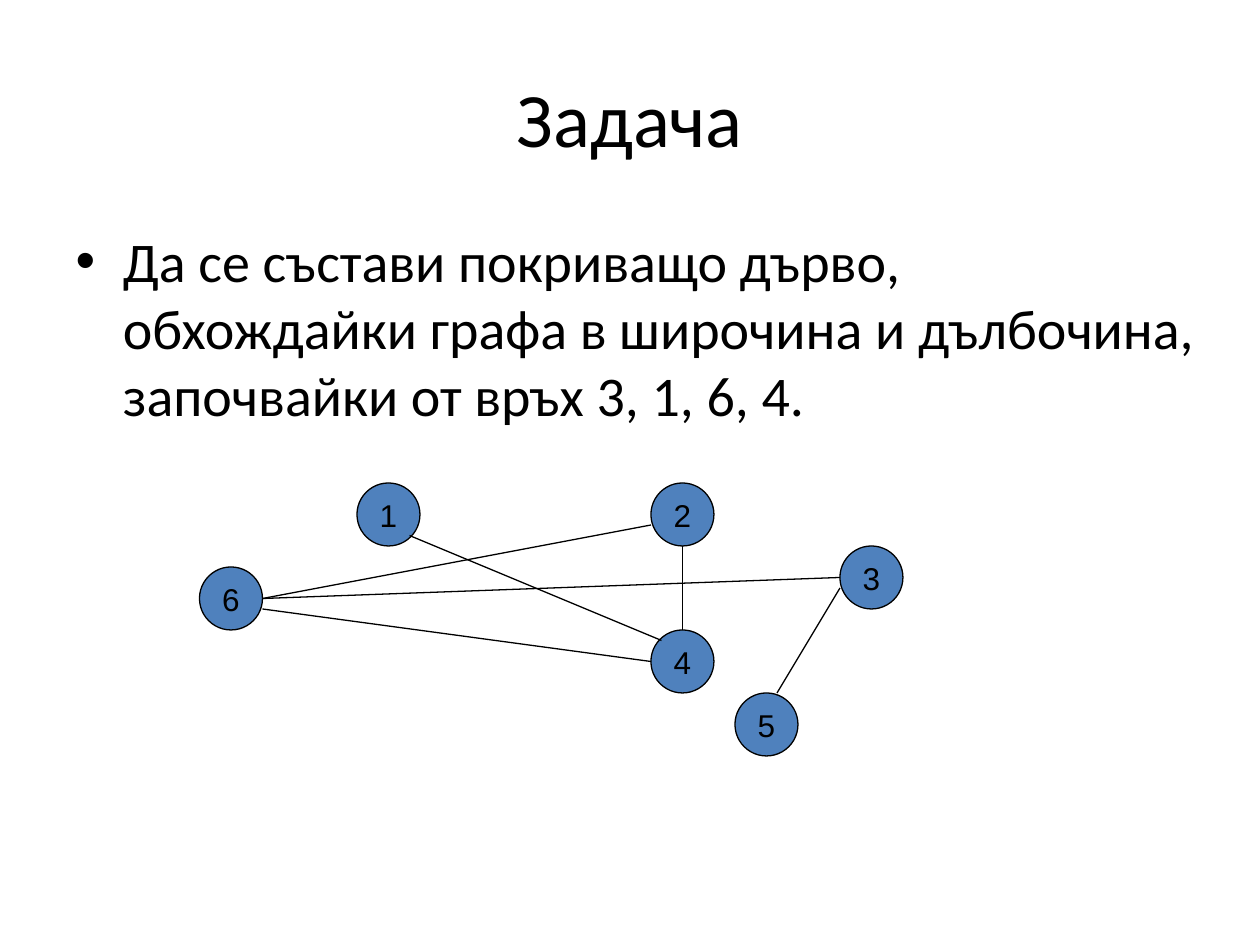
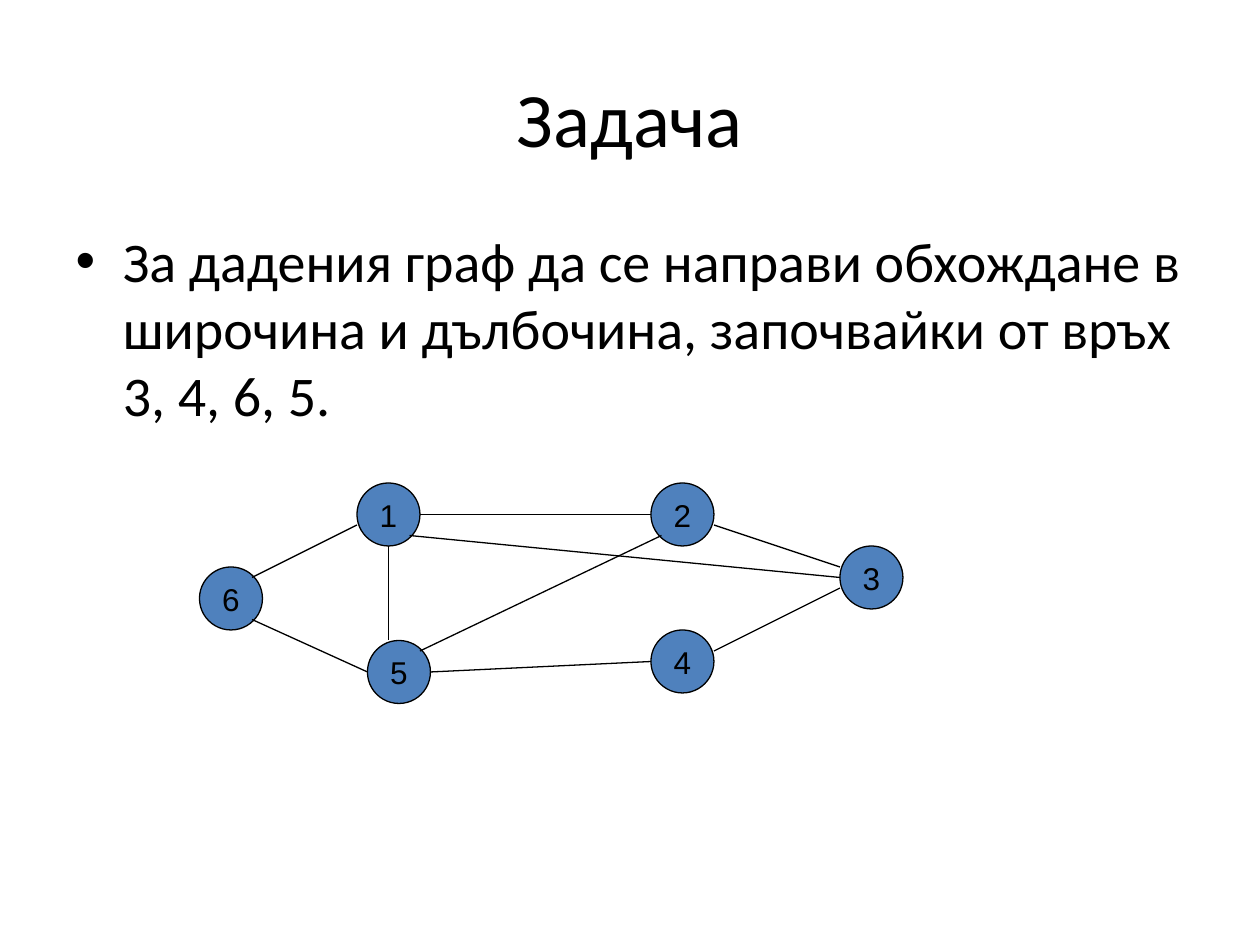
from pptx import Presentation
from pptx import util as u
from pptx.dml.color import RGBColor
from pptx.enum import shapes, text
from pptx.oxml.ns import qn
from lxml import etree

BLACK = RGBColor(0x00, 0x00, 0x00)
NODE_BLUE = RGBColor(0x4F, 0x81, 0xBD)
GRID = u.Cm(2.54) // 12
NODE_SIZE = 6
LINE_WIDTH = u.Pt(0.75)

TITLE = "Задача"
TITLE_BOX = (1.27, 0.76, 22.86, 3.18)
BODY_LEFT, BODY_TOP, BODY_HEIGHT = 1.27, 4.44, 12.57

SHARED_NODES = {1: (34, 46), 2: (62, 46), 3: (80, 52), 4: (62, 60), 6: (19, 54)}

TASKS = [
    {
        "body": "Да се състави покриващо дърво, обхождайки графа в широчина и дълбочина, "
                "започвайки от връх 3, 1, 6, 4.",
        "body_width": 23.28,
        "nodes": {**SHARED_NODES, 5: (70, 66)},
        "edges": [
            (6, (6, 4), 4, (0, 3)),
            (3, (0, 4), 5, (4, 0)),
            (2, (3, 6), 4, (3, 0)),
            (1, (5, 5), 4, (1, 1)),
            (6, (6, 3), 2, (0, 4)),
            (6, (6, 3), 3, (0, 3)),
        ],
    },
    {
        "body": "За дадения граф да се направи обхождане в широчина и дълбочина, "
                "започвайки от връх 3, 4, 6, 5.",
        "body_width": 22.86,
        "nodes": {**SHARED_NODES, 5: (35, 61)},
        "edges": [
            (5, (6, 3), 4, (0, 3)),
            (3, (0, 4), 4, (6, 2)),
            (1, (6, 3), 2, (0, 3)),
            (2, (6, 4), 3, (0, 2)),
            (1, (3, 6), 5, (2, 0)),
            (5, (5, 1), 2, (1, 5)),
            (1, (5, 5), 3, (0, 3)),
            (6, (5, 1), 1, (0, 4)),
            (6, (5, 5), 5, (0, 3)),
        ],
    },
]


def style_font(paragraph, name, size):
    paragraph.font.name = name
    paragraph.font.size = u.Pt(size)
    paragraph.font.color.rgb = BLACK


def fill_placeholder(placeholder, box, content, size):
    placeholder.left, placeholder.top, placeholder.width, placeholder.height = map(u.Cm, box)
    frame = placeholder.text_frame
    frame.text = content
    frame.auto_size = text.MSO_AUTO_SIZE.NONE
    paragraph = frame.paragraphs[0]
    style_font(paragraph, "Calibri", size)
    return paragraph


def add_node(slide, label, position):
    left, top = (value * GRID for value in position)
    size = NODE_SIZE * GRID
    node = slide.shapes.add_shape(shapes.MSO_SHAPE.OVAL, left, top, size, size)
    node.shadow.inherit = False
    node.fill.solid()
    node.fill.fore_color.rgb = NODE_BLUE
    node.line.color.rgb = BLACK
    node.line.width = LINE_WIDTH
    frame = node.text_frame
    frame.text = str(label)
    frame.word_wrap = False
    frame.vertical_anchor = text.MSO_ANCHOR.MIDDLE
    paragraph = frame.paragraphs[0]
    paragraph.alignment = text.PP_ALIGN.CENTER
    style_font(paragraph, "Arial", 18)


def add_edge(slide, start, start_port, end, end_port):
    points = [(node[axis] + port[axis]) * GRID
              for node, port in ((start, start_port), (end, end_port))
              for axis in (0, 1)]
    edge = slide.shapes.add_connector(shapes.MSO_CONNECTOR.STRAIGHT, *points)
    edge.line.color.rgb = BLACK
    edge.line.width = LINE_WIDTH
    etree.SubElement(edge._element.spPr, qn("a:effectLst"))


def add_task(presentation, task):
    slide = presentation.slides.add_slide(presentation.slide_layouts[1])
    title = fill_placeholder(slide.shapes.title, TITLE_BOX, TITLE, 44)
    title.alignment = text.PP_ALIGN.CENTER
    body_box = (BODY_LEFT, BODY_TOP, task["body_width"], BODY_HEIGHT)
    body = fill_placeholder(slide.placeholders[1], body_box, task["body"], 32)
    body.space_before = u.Pt(8)
    nodes = task["nodes"]
    for label, position in nodes.items():
        add_node(slide, label, position)
    for start, start_port, end, end_port in task["edges"]:
        add_edge(slide, nodes[start], start_port, nodes[end], end_port)


def main():
    presentation = Presentation()
    presentation.slide_width = u.Cm(25.4)
    presentation.slide_height = u.Cm(19.05)
    for task in TASKS:
        add_task(presentation, task)
    presentation.save("out.pptx")


if __name__ == "__main__":
    main()
